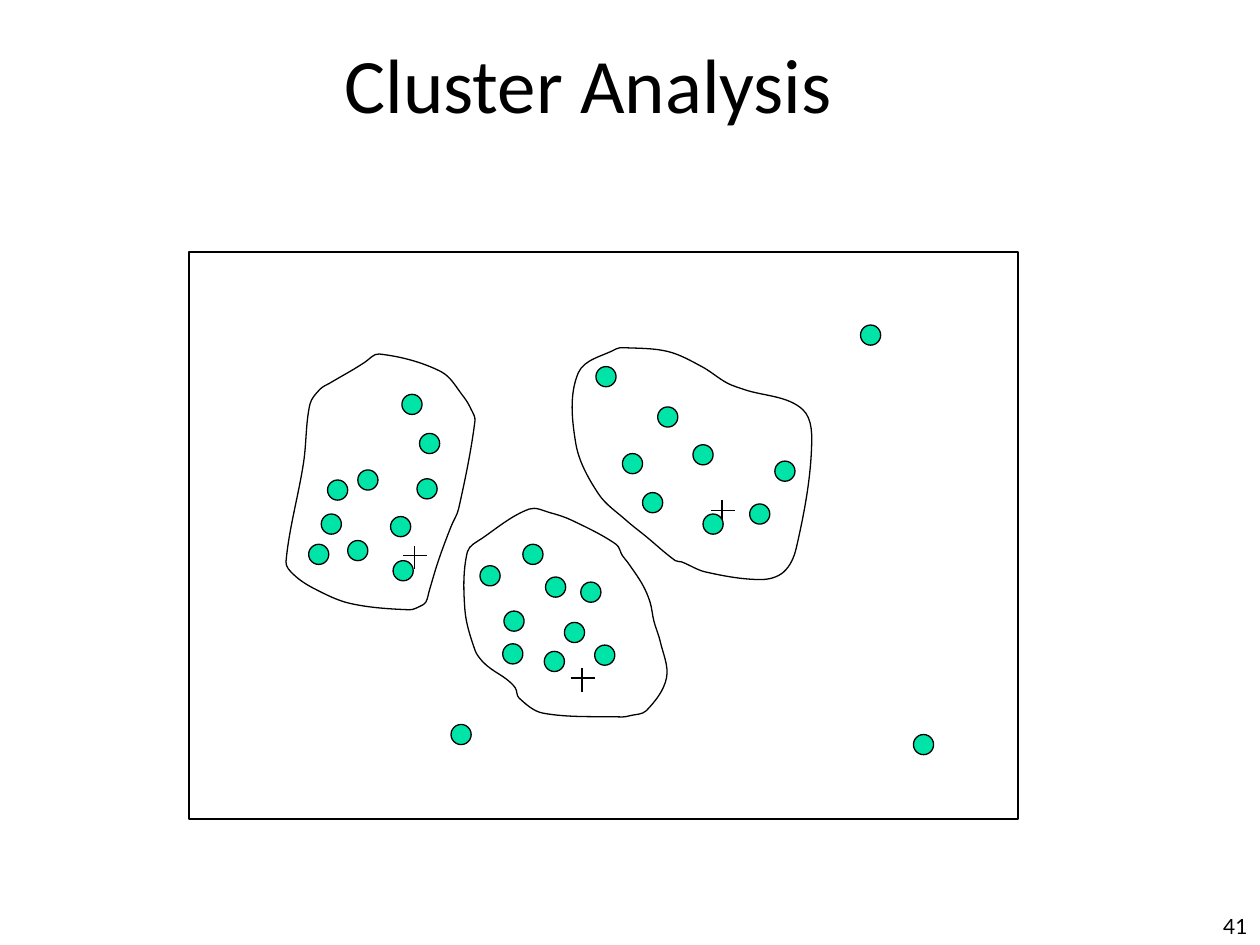
from math import dist
from lxml import etree
from pptx import Presentation, util as u
from pptx.dml.color import RGBColor
from pptx.enum import shapes as sh, text as tx
from pptx.oxml.ns import qn

THEME = {
    "ink": RGBColor.from_string("000000"),
    "dot": RGBColor.from_string("00E4A8"),
    "line": u.Pt(0.75),
    "title": {"name": "Calibri", "size": u.Pt(44)},
    "page": {"name": "Lato", "size": u.Pt(12)},
}

TITLE = ("Cluster Analysis", (1.67, 0.24, 6, 0.84))
PAGE = ("41", (7.92, 7.2, 2.08, 0.3))
FRAME = (1.5, 2, 6.58, 4.5)
SIZE = 0.16

OUTLIERS = [(7.25, 5.83), (3.58, 5.75), (6.83, 2.58)]
CLUSTERS = [
    {
        "center": (3.29, 4.41),
        "dots": [(2.76, 4.29), (2.55, 4.08), (3.1, 4.1), (2.84, 3.73), (2.45, 4.32),
                 (2.6, 3.81), (3.12, 4.45), (3.31, 3.8), (3.33, 3.44), (3.19, 3.13)],
        "edge": [(3.58, 4.18), (3.48, 4.45), (3.41, 4.68), (3.38, 4.78), (3.34, 4.81),
                 (3.25, 4.84), (2.78, 4.79), (2.49, 4.67), (2.33, 4.56), (2.27, 4.46),
                 (2.41, 3.67), (2.46, 3.21), (2.54, 3.09), (2.62, 3.04), (2.81, 2.93),
                 (2.89, 2.88), (3.01, 2.81), (3.5, 2.95), (3.68, 3.15), (3.74, 3.25),
                 (3.77, 3.34), (3.64, 4.04)],
    },
    {
        "center": (4.62, 5.38),
        "dots": [(3.81, 4.49), (4.61, 4.62), (4.32, 5.17), (4.48, 4.94), (4, 4.85),
                 (3.99, 5.11), (4.15, 4.32), (4.33, 4.58), (4.72, 5.12)],
        "edge": [(4.09, 5.46), (4.02, 5.39), (3.9, 5.31), (3.83, 5.25), (3.77, 5.16),
                 (3.69, 4.84), (3.71, 4.38), (3.83, 4.27), (4.2, 4.04), (4.37, 4.07),
                 (4.54, 4.13), (4.89, 4.32), (4.94, 4.41), (4.98, 4.46), (5.1, 4.64),
                 (5.16, 4.78), (5.19, 4.93), (5.24, 5.09), (5.29, 5.38), (5.13, 5.64),
                 (5, 5.68), (4.94, 5.69), (4.31, 5.66), (4.12, 5.54)],
    },
    {
        "center": (5.73, 4.05),
        "dots": [(5.22, 3.23), (5.1, 3.91), (5.5, 3.53), (4.94, 3.6), (6.15, 3.66),
                 (5.95, 4), (5.58, 4.08), (4.73, 2.91)],
        "edge": [(6.37, 3.25), (6.44, 3.58), (6.32, 4.35), (6.22, 4.54), (6.04, 4.6),
                 (5.6, 4.54), (5.41, 4.46), (5.36, 4.45), (5.13, 4.26), (4.97, 4.13),
                 (4.75, 3.92), (4.57, 3.52), (4.59, 2.96), (4.89, 2.77), (4.95, 2.76),
                 (5.3, 2.79), (5.57, 2.91), (5.77, 3.04), (5.9, 3.09)],
    },
]


def inch(vals):
    return [u.Inches(v) for v in vals]


def put(obj, vals):
    for key, val in vals.items():
        setattr(obj, key, val)


def style(shape, fill=None):
    shape.shadow.inherit = False
    if fill is None:
        shape.fill.background()
    else:
        shape.fill.solid()
        shape.fill.fore_color.rgb = fill
    ink(shape.line)


def ink(line):
    line.color.rgb = THEME["ink"]
    line.width = THEME["line"]


def write(shape, words, font, align, anchor):
    frame = shape.text_frame
    put(frame, {"word_wrap": True, "auto_size": tx.MSO_AUTO_SIZE.NONE,
                "vertical_anchor": anchor, "text": words,
                "margin_left": u.Inches(0.1), "margin_right": u.Inches(0.1),
                "margin_top": u.Inches(0.05), "margin_bottom": u.Inches(0.05)})
    para = frame.paragraphs[0]
    para.alignment = align
    run = para.runs[0]
    put(run.font, font)
    run.font.color.rgb = THEME["ink"]
    return para


def dot(slide, spot):
    oval = slide.shapes.add_shape(sh.MSO_SHAPE.OVAL, *inch((*spot, SIZE, SIZE)))
    style(oval, THEME["dot"])


def cross(slide, spot):
    x, y = spot
    for ends in ((x - 0.09, y, x + 0.1, y), (x, y + 0.11, x, y - 0.08)):
        bar = slide.shapes.add_connector(sh.MSO_CONNECTOR.STRAIGHT, *inch(ends))
        ink(bar.line)
        etree.SubElement(bar._element.spPr, qn("a:effectLst"))


def handle(pts, i, step):
    n = len(pts)
    here, prev, post = pts[i % n], pts[(i - 1) % n], pts[(i + 1) % n]
    reach = dist(here, pts[(i + step) % n]) / 3 * step / dist(prev, post)
    return [h + (b - a) * reach for h, a, b in zip(here, prev, post)]


def outline(slide, edge):
    pts = [inch(p) for p in edge]
    pen = slide.shapes.build_freeform(*pts[0], scale=1.0)
    pen.add_line_segments(pts[1:] + pts[:1], close=True)
    loop = pen.convert_to_shape()
    style(loop)
    for i, seg in enumerate(list(loop._element.iter(qn("a:lnTo")))):
        seg.tag = qn("a:cubicBezTo")
        for j, ctrl in enumerate((handle(pts, i, 1), handle(pts, i + 1, -1))):
            mark = etree.Element(qn("a:pt"), x=str(round(ctrl[0] - loop.left)),
                                 y=str(round(ctrl[1] - loop.top)))
            seg.insert(j, mark)


def main():
    deck = Presentation()
    put(deck, {"slide_width": u.Inches(10), "slide_height": u.Inches(7.5)})
    slide = deck.slides.add_slide(deck.slide_layouts[5])

    words, box = TITLE
    head = slide.shapes.title
    put(head, dict(zip(("left", "top", "width", "height"), inch(box))))
    write(head, words, THEME["title"], tx.PP_ALIGN.CENTER, tx.MSO_ANCHOR.MIDDLE)

    words, box = PAGE
    page = slide.shapes.add_textbox(*inch(box))
    para = write(page, words, THEME["page"], tx.PP_ALIGN.RIGHT, tx.MSO_ANCHOR.BOTTOM)
    para.line_spacing = 1.01

    frame = slide.shapes.add_shape(sh.MSO_SHAPE.ROUNDED_RECTANGLE, *inch(FRAME))
    frame.adjustments[0] = 0
    style(frame)

    for spot in OUTLIERS:
        dot(slide, spot)
    for group in CLUSTERS:
        outline(slide, group["edge"])
        cross(slide, group["center"])
        for spot in group["dots"]:
            dot(slide, spot)

    deck.save("out.pptx")


if __name__ == "__main__":
    main()
